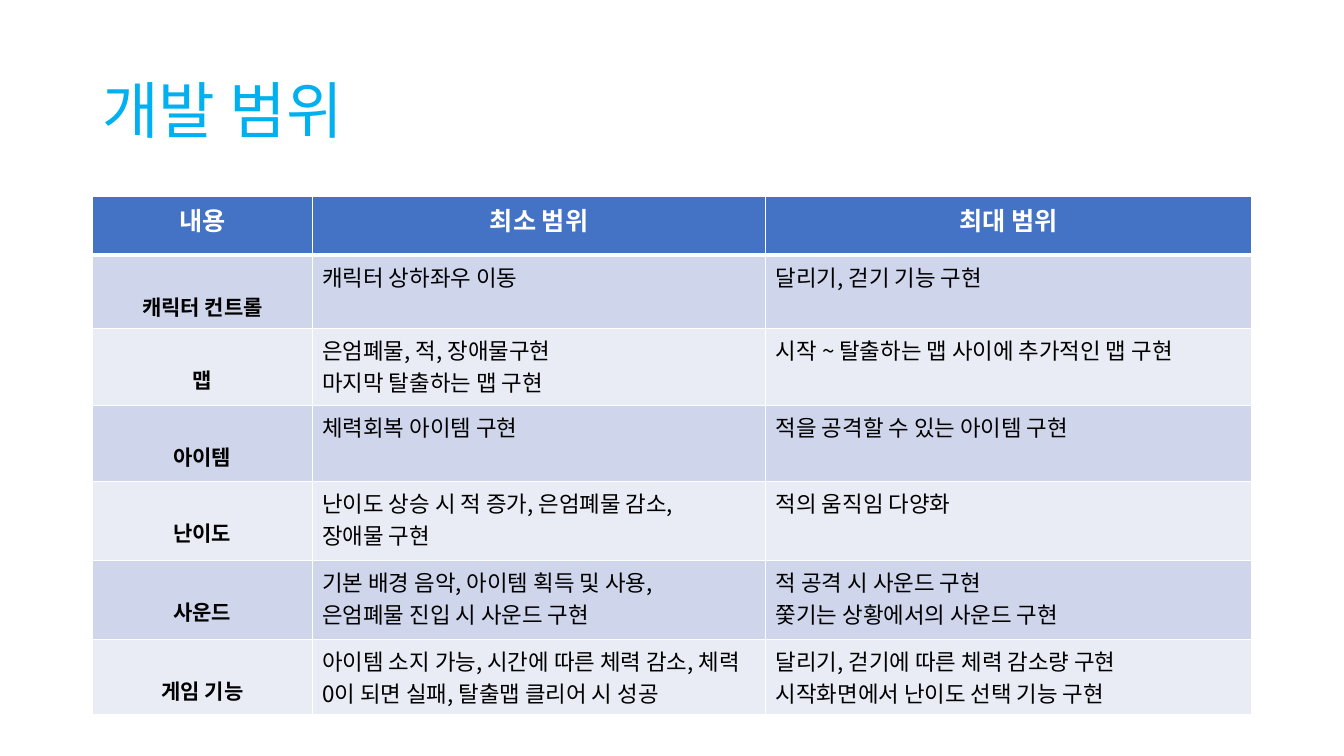
import pptx
import pptx.util
import pptx.dml.color
import pptx.enum.text
import pptx.oxml
import pptx.oxml.ns

Cm = pptx.util.Cm
Pt = pptx.util.Pt
RGBColor = pptx.dml.color.RGBColor
ALIGN = pptx.enum.text.PP_ALIGN
ANCHOR = pptx.enum.text.MSO_ANCHOR

FONT = "Noto Sans CJK KR"
SKY = RGBColor(0x00, 0xB0, 0xF0)
BLUE = RGBColor(0x44, 0x72, 0xC4)
DARK = RGBColor(0xCF, 0xD5, 0xEA)
PALE = RGBColor(0xE9, 0xEB, 0xF5)
WHITE = RGBColor(0xFF, 0xFF, 0xFF)
BLACK = RGBColor(0x00, 0x00, 0x00)

TITLE = {"size": Pt(44), "bold": False, "color": SKY}
HEAD = {"size": Pt(18), "bold": True, "color": WHITE}
LABEL = {"size": Pt(15), "bold": True, "color": BLACK}
BODY = {"size": Pt(16), "bold": False, "color": BLACK}

WIDTHS = [5.54, 11.43, 12.24]
HEIGHTS = [1.49, 1.85, 1.94, 1.91, 2.0, 1.98, 1.9]
ROWS = [
    ("내용", "최소 범위", "최대 범위"),
    ("캐릭터 컨트롤", "캐릭터 상하좌우 이동", "달리기, 걷기 기능 구현"),
    ("맵", "은엄폐물, 적, 장애물구현\n마지막 탈출하는 맵 구현",
     "시작 ~ 탈출하는 맵 사이에 추가적인 맵 구현"),
    ("아이템", "체력회복 아이템 구현", "적을 공격할 수 있는 아이템 구현"),
    ("난이도", "난이도 상승 시 적 증가, 은엄폐물 감소,\n장애물 구현",
     "적의 움직임 다양화"),
    ("사운드", "기본 배경 음악, 아이템 획득 및 사용,\n은엄폐물 진입 시 사운드 구현",
     "적 공격 시 사운드 구현\n쫓기는 상황에서의 사운드 구현"),
    ("게임 기능",
     "아이템 소지 가능, 시간에 따른 체력 감소, "
     "체력 0이 되면 실패, 탈출맵 클리어 시 성공",
     "달리기, 걷기에 따른 체력 감소량 구현\n시작화면에서 난이도 선택 기능 구현"),
]


def style(run, form):
    """Apply format values and the font, for Latin and Korean text alike."""
    for key, value in form.items():
        if key == "color":
            run.font.color.rgb = value
        else:
            setattr(run.font, key, value)
    run.font.name = FONT
    east = pptx.oxml.parse_xml(
        f'<a:ea {pptx.oxml.ns.nsdecls("a")} typeface="{FONT}"/>')
    run.font._element.find(pptx.oxml.ns.qn("a:latin")).addnext(east)


def write(frame, text, form, align=ALIGN.LEFT):
    frame.text = text
    for para in frame.paragraphs:
        para.alignment = align
        for run in para.runs:
            style(run, form)


def edge(cell, top, base):
    """Draw white cell borders; top and base are widths in points."""
    sides = {"lnL": 1, "lnR": 1, "lnT": top, "lnB": base}
    for place, (side, width) in enumerate(sides.items()):
        line = pptx.oxml.parse_xml(
            f'<a:{side} {pptx.oxml.ns.nsdecls("a")} w="{Pt(width)}">'
            f'<a:solidFill><a:srgbClr val="{WHITE}"/></a:solidFill></a:{side}>')
        cell._tc.get_or_add_tcPr().insert(place, line)


def add_title(slide, text):
    box = slide.shapes.add_textbox(Cm(2.33), Cm(1.01), Cm(29.21), Cm(3.68))
    frame = box.text_frame
    frame.word_wrap = True
    frame.vertical_anchor = ANCHOR.MIDDLE
    write(frame, text, TITLE)
    frame.paragraphs[0].line_spacing = 0.9


def fill_cell(cell, row, col, text):
    cell.fill.solid()
    cell.fill.fore_color.rgb = BLUE if row == 0 else DARK if row % 2 else PALE
    edge(cell, 3 if row == 1 else 1, 3 if row == 0 else 1)
    if row == 0:
        write(cell.text_frame, text, HEAD, ALIGN.CENTER)
    elif col == 0:
        cell.margin_top = Cm(0.9)
        write(cell.text_frame, text, LABEL, ALIGN.CENTER)
    else:
        write(cell.text_frame, text, BODY)


def add_grid(slide):
    table = slide.shapes.add_table(
        len(ROWS), len(WIDTHS), Cm(2.33), Cm(4.94),
        Cm(sum(WIDTHS)), Cm(sum(HEIGHTS))).table
    for col, width in zip(table.columns, WIDTHS):
        col.width = Cm(width)
    for row, height in zip(table.rows, HEIGHTS):
        row.height = Cm(height)
    for row, texts in enumerate(ROWS):
        for col, text in enumerate(texts):
            fill_cell(table.cell(row, col), row, col, text)


def main():
    deck = pptx.Presentation()
    deck.slide_width, deck.slide_height = Cm(33.87), Cm(19.05)
    slide = deck.slides.add_slide(deck.slide_layouts[6])
    add_title(slide, "개발 범위")
    add_grid(slide)
    deck.save("out.pptx")


if __name__ == "__main__":
    main()
